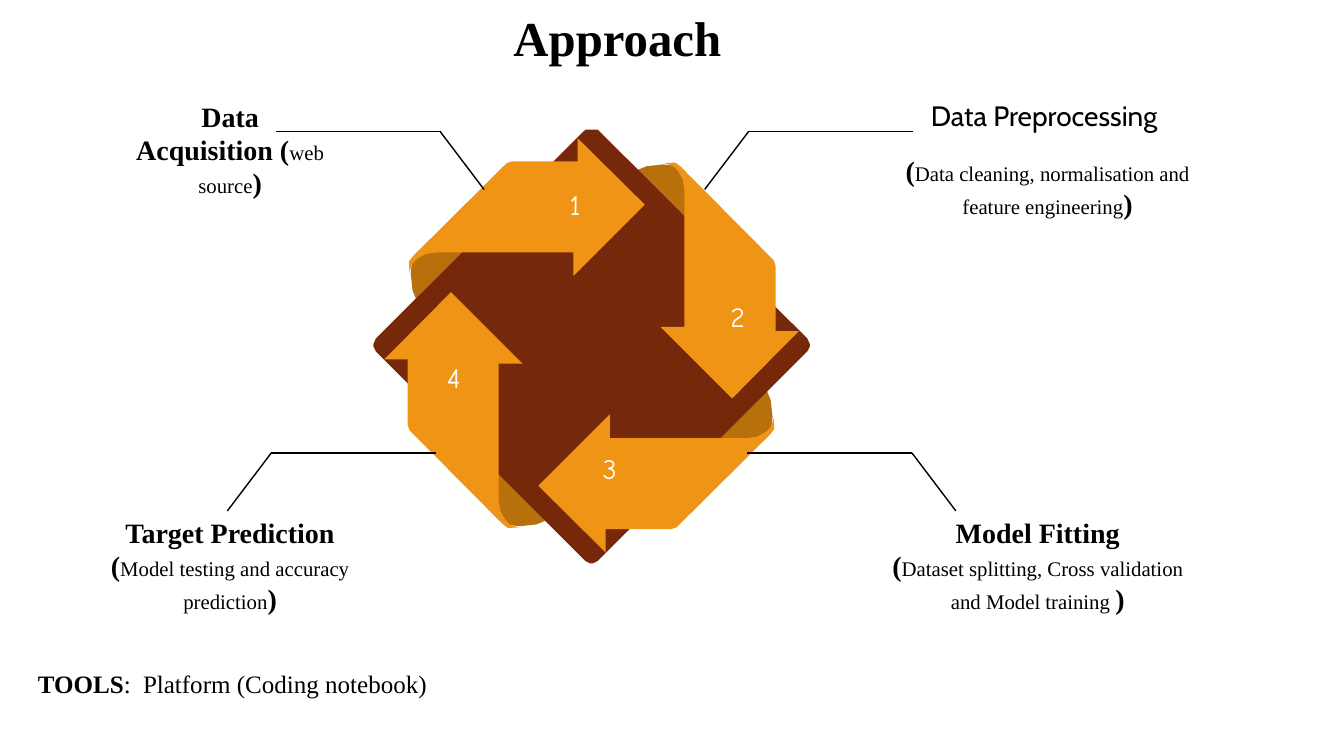
from dataclasses import dataclass

from lxml.etree import SubElement
from pptx import Presentation
from pptx.dml.color import RGBColor
from pptx.enum.shapes import MSO_CONNECTOR as Connector
from pptx.enum.text import MSO_ANCHOR as Anchor, MSO_AUTO_SIZE as AutoSize, PP_ALIGN as Align
from pptx.oxml.ns import qn
from pptx.util import Inches, Pt

COLORS = {"ink": "000000", "white": "FFFFFF", "blade": "F09415", "fold": "B8700C", "diamond": "76290A"}
SERIF, NUMERAL, SANS = "Times New Roman", "Comic Neue", "Cabin"
CENTER_X, CENTER_Y = 9.68, 5.65
ARM, REACH, DROP = 2.69, 0.72, 0.95
FRAME_FORMAT = {
    "margin_left": 0, "margin_right": 0, "margin_top": Inches(0.02), "margin_bottom": 0,
    "vertical_anchor": Anchor.TOP, "auto_size": AutoSize.NONE,
}

Point = tuple[float, float]


@dataclass
class Run:
    text: str
    size: float = 33
    bold: bool = False
    font: str = SERIF
    color: str = "ink"


@dataclass
class Label:
    left: float
    top: float
    width: float
    height: float
    paragraphs: list[list[Run]]
    align: Align = Align.LEFT
    spacing: float | None = None
    wrap: bool = False


@dataclass
class Leader:
    elbow_x: float
    elbow_y: float
    direction: int


def color(name: str) -> RGBColor:
    return RGBColor.from_string(COLORS[name])


def outline(points: list[Point], fill: str) -> None:
    corners = [(Inches(CENTER_X + x), Inches(CENTER_Y + y)) for x, y in points]
    builder = slide.shapes.build_freeform(*corners[0], scale=1.0)
    builder.add_line_segments(corners[1:], close=True)
    shape = builder.convert_to_shape()
    shape.shadow.inherit = False
    shape.fill.solid()
    shape.fill.fore_color.rgb = color(fill)
    shape.line.fill.background()


def quarter_turns(points: list[Point], fill: str) -> None:
    for _ in range(4):
        outline(points, fill)
        points = [(-y, x) for x, y in points]


def line(start: Point, end: Point) -> None:
    ends = [Inches(value) for value in (*start, *end)]
    connector = slide.shapes.add_connector(Connector.STRAIGHT, *ends)
    connector.line.color.rgb = color("ink")
    connector.line.width = Pt(1.65)
    SubElement(connector._element.spPr, qn("a:effectLst"))


def draw_leader(leader: Leader) -> None:
    elbow = (leader.elbow_x, leader.elbow_y)
    line((leader.elbow_x - leader.direction * ARM, leader.elbow_y), elbow)
    line(elbow, (leader.elbow_x + leader.direction * REACH, leader.elbow_y + DROP))


def write(shape, label: Label) -> None:
    place = {"left": label.left, "top": label.top, "width": label.width, "height": label.height}
    for name, value in place.items():
        setattr(shape, name, Inches(value))
    frame = shape.text_frame
    for name, value in {**FRAME_FORMAT, "word_wrap": label.wrap}.items():
        setattr(frame, name, value)
    for index, runs in enumerate(label.paragraphs):
        paragraph = frame.add_paragraph() if index else frame.paragraphs[0]
        paragraph.alignment = label.align
        if label.spacing:
            paragraph.line_spacing = Pt(label.spacing)
        for part in runs:
            run = paragraph.add_run()
            run.text = part.text
            font_format = {"name": part.font, "size": Pt(part.size), "bold": part.bold}
            for name, value in font_format.items():
                setattr(run.font, name, value)
            run.font.color.rgb = color(part.color)


def add_label(label: Label):
    box = slide.shapes.add_textbox(0, 0, 0, 0)
    write(box, label)
    return box


def detail(text: str) -> list[Run]:
    return [Run("(", bold=True), Run(text, 24.5), Run(")", bold=True)]


def step(left: float, top: float, width: float, paragraphs: list[list[Run]]) -> Label:
    return Label(left, top, width, 1.65, paragraphs, Align.CENTER, 38.8, True)


presentation = Presentation()
presentation.slide_width, presentation.slide_height = Inches(21.99), Inches(12.37)
slide = presentation.slides.add_slide(presentation.slide_layouts[5])
write(slide.shapes.title, Label(8.4, 0.1, 3.6, 0.99, [[Run("Approach", 57.5, True)]]))

fold = [
    (-2.85, -0.7), (-2.67, -0.76), (-2.38, -1.07), (-1.97, -1.58), (-2.22, -1.6),
    (-2.74, -1.6), (-2.85, -1.53), (-2.94, -1.36), (-2.96, -1.17), (-2.93, -0.9),
]
diamond_half = [(0.1, -3.53), (3.53, -0.11), (3.57, -0.02), (3.57, 0.02), (3.53, 0.1), (0.1, 3.53), (0.02, 3.57)]
blade = [
    (0.87, -2.3), (-0.23, -3.39), (-0.23, -3.01), (-1.3, -3.01), (-1.39, -2.98),
    (-2.92, -1.46), (-2.99, -1.37), (-2.98, -1.19), (-2.94, -1.33), (-2.86, -1.41),
    (-2.72, -1.49), (-2.55, -1.52), (-0.3, -1.52), (-0.3, -1.13),
]
quarter_turns(fold, "fold")
outline(diamond_half + [(-x, y) for x, y in reversed(diamond_half)], "diamond")
quarter_turns(blade, "blade")

numerals = {"1": (9.32, 3.05), "2": (11.95, 4.88), "3": (9.86, 7.37), "4": (7.31, 5.88)}
for numeral, (left, top) in numerals.items():
    add_label(Label(left, top, 0.31, 0.58, [[Run(numeral, font=NUMERAL, color="white")]]))

leaders = [Leader(7.2, 2.15, 1), Leader(12.25, 2.15, -1), Leader(14.92, 7.41, 1), Leader(4.44, 7.41, -1)]
for leader in leaders:
    draw_leader(leader)

steps = [
    step(2.18, 1.62, 3.17, [[Run("Data Acquisition ", bold=True), *detail("web source")]]),
    step(14.68, 2.5, 4.92, [detail("Data cleaning, normalisation and feature engineering")]),
    step(14.46, 8.43, 5.04, [
        [Run("Model Fitting", bold=True)],
        detail("Dataset splitting, Cross validation and Model training "),
    ]),
    step(1.68, 8.43, 4.17, [
        [Run("Target Prediction", bold=True)],
        detail("Model testing and accuracy prediction"),
    ]),
    Label(15.23, 1.59, 3.82, 0.58, [[Run("Data Preprocessing", font=SANS)]]),
]
for label in steps:
    add_label(label)

tools = add_label(Label(0.62, 10.92, 6.64, 0.52, [
    [Run("TOOLS", 29.5, True), Run(":\t", 29.5), Run("Platform (Coding notebook)", 29.5)],
]))
properties = tools.text_frame.paragraphs[0]._p.get_or_add_pPr()
tab_stops = SubElement(properties, qn("a:tabLst"))
SubElement(tab_stops, qn("a:tab"), pos=str(Inches(1.72)), algn="l")

presentation.save("out.pptx")
